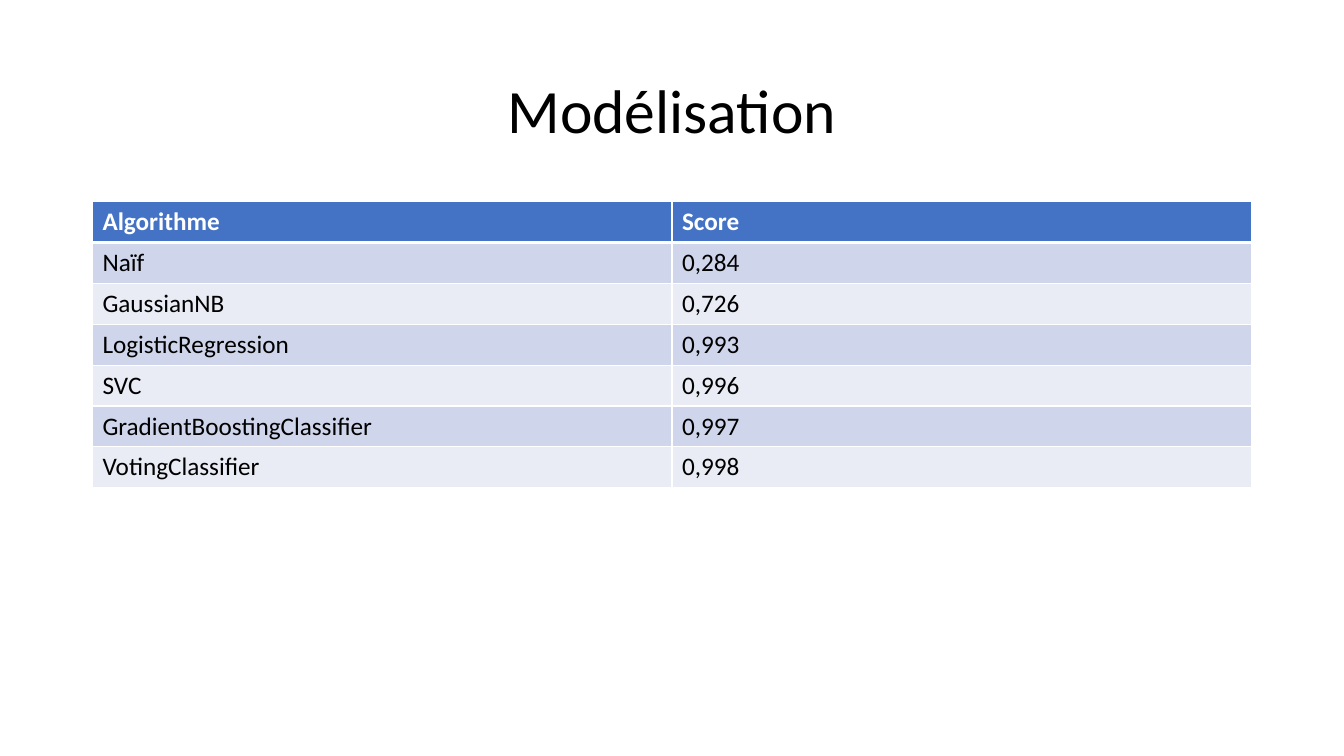
import pptx
import pptx.dml.color
import pptx.enum.text
import pptx.oxml
import pptx.oxml.ns
import pptx.util

Cm, Pt = pptx.util.Cm, pptx.util.Pt
RGB = pptx.dml.color.RGBColor.from_string
COLORS = {"text": "000000", "white": "FFFFFF", "header": "4472C4",
          "odd": "CFD5EA", "even": "E9EBF5"}
SCORES = [("Algorithme", "Score"), ("Naïf", "0,284"), ("GaussianNB", "0,726"),
          ("LogisticRegression", "0,993"), ("SVC", "0,996"),
          ("GradientBoostingClassifier", "0,997"), ("VotingClassifier", "0,998")]
LEFT, WIDTH, ROW_HEIGHT = Cm(2.33), Cm(29.21), Cm(1.03)


def format_font(font, color, **values):
    for name, value in {"name": "Calibri", **values}.items():
        setattr(font, name, value)
    font.color.rgb = RGB(COLORS[color])


def set_borders(cell, widths):
    for position, (side, width) in enumerate(widths.items()):
        line = pptx.oxml.parse_xml(
            f'<a:ln{side} {pptx.oxml.ns.nsdecls("a")} w="{Pt(width)}"><a:solidFill>'
            f'<a:srgbClr val="{COLORS["white"]}"/></a:solidFill></a:ln{side}>')
        cell._tc.get_or_add_tcPr().insert(position, line)


prs = pptx.Presentation()
prs.slide_width, prs.slide_height = Cm(33.87), Cm(19.05)
slide = prs.slides.add_slide(prs.slide_layouts[5])

# Title
heading = slide.shapes.title
for name, value in {"left": LEFT, "top": Cm(1.01), "width": WIDTH, "height": Cm(3.68)}.items():
    setattr(heading, name, value)
heading.text_frame.text = "Modélisation"
heading.text_frame.vertical_anchor = pptx.enum.text.MSO_ANCHOR.MIDDLE
heading_line = heading.text_frame.paragraphs[0]
heading_line.alignment = pptx.enum.text.PP_ALIGN.CENTER
heading_line.line_spacing = 0.9
format_font(heading_line.runs[0].font, "text", size=Pt(44))

# Score table
scores = slide.shapes.add_table(len(SCORES), 2, LEFT, Cm(5.08), WIDTH,
                                ROW_HEIGHT * len(SCORES)).table
for row, entries in enumerate(SCORES):
    is_header = row == 0
    band = "header" if is_header else "odd" if row % 2 else "even"
    scores.rows[row].height = ROW_HEIGHT
    for column, entry in enumerate(entries):
        cell = scores.cell(row, column)
        cell.text = entry
        cell.fill.solid()
        cell.fill.fore_color.rgb = RGB(COLORS[band])
        format_font(cell.text_frame.paragraphs[0].runs[0].font,
                    "white" if is_header else "text", size=Pt(18), bold=is_header)
        set_borders(cell, {"L": 1, "R": 1, "T": 3 if row == 1 else 1,
                           "B": 3 if is_header else 1})

prs.save("out.pptx")
